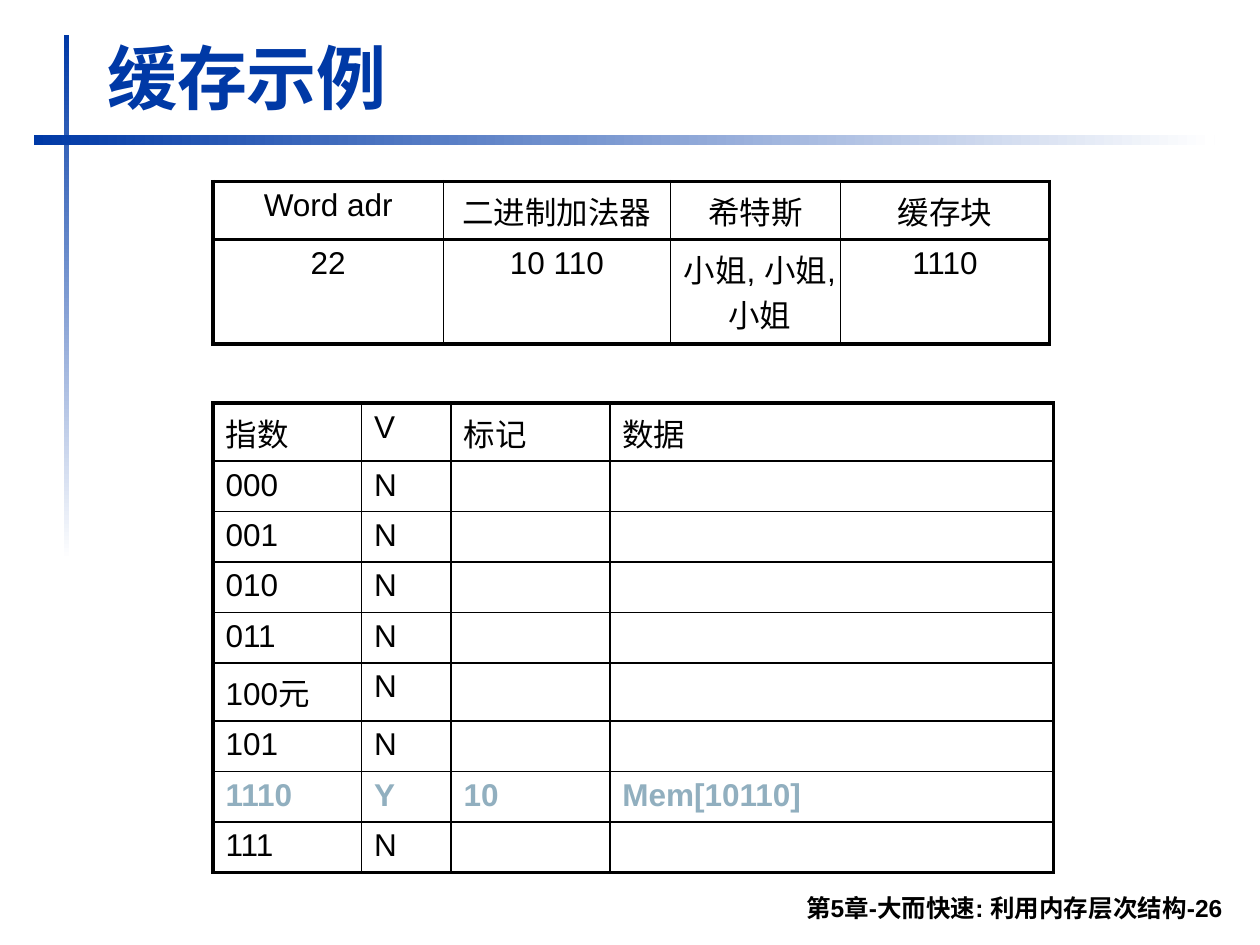
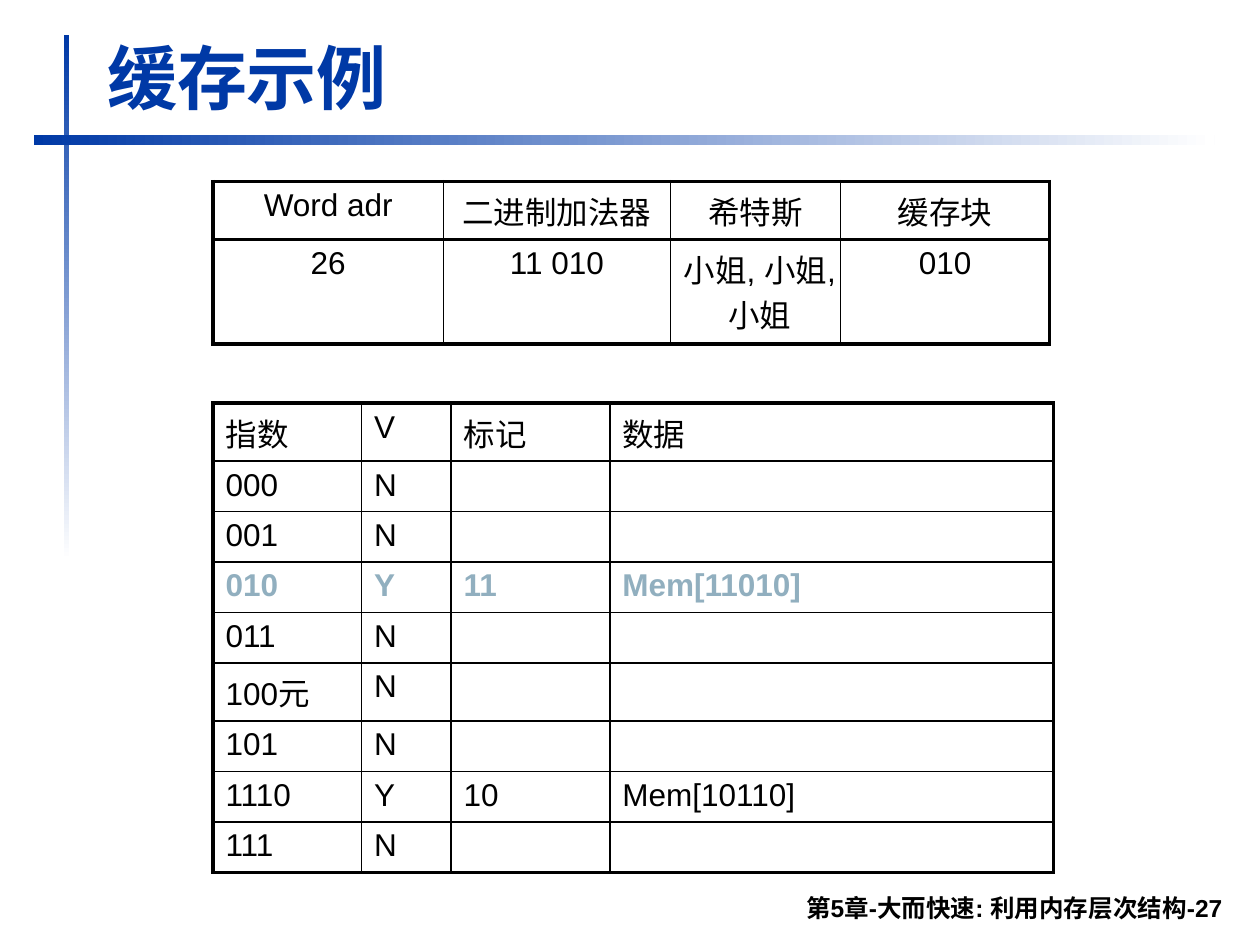
from dataclasses import dataclass
from lxml.etree import SubElement
from pptx import Presentation
from pptx.dml.color import RGBColor
from pptx.enum.shapes import MSO_SHAPE
from pptx.enum.text import MSO_ANCHOR, MSO_AUTO_SIZE, PP_ALIGN
from pptx.oxml.ns import qn
from pptx.util import Inches, Pt


@dataclass(frozen=True)
class Theme:
    """Colours, font, type sizes and line widths of the deck."""
    blue: str = "0039A6"
    black: str = "000000"
    white: str = "FFFFFF"
    accent: str = "91AFBF"
    font: str = "Arial"
    title: int = 40
    cell: int = 18
    footer: int = 14
    outer: float = 2.25
    header: float = 1.5
    inner: float = 1


THEME = Theme()
TITLE = "缓存示例"
FOOTER = "第5章-大而快速: 利用内存层次结构-{}"
LATIN_ROW, CHINESE_ROW, WRAPPED_ROW = 0.4, 0.46, 0.83
ACCESS_HEAD = ["Word adr", "二进制加法器", "希特斯", "缓存块"]
ACCESS_COLS = [1.83, 1.8, 1.35, 1.66]
ACCESS_HEIGHTS = [CHINESE_ROW, WRAPPED_ROW]
MISS = "小姐, 小姐, 小姐"
CACHE_HEAD = ["指数", "V", "标记", "数据"]
CACHE_COLS = [1.18, 0.71, 1.26, 3.52]
INDICES = ["000", "001", "010", "011", "100元", "101", "1110", "111"]
CACHE_HEIGHTS = [LATIN_ROW if label.isascii() else CHINESE_ROW
                 for label in [CACHE_HEAD[0], *INDICES]]
BLOCK_22 = {"1110": ["Y", "10", "Mem[10110]"]}
BLOCK_26 = {"010": ["Y", "11", "Mem[11010]"]}
SLIDES = [
    (26, ["22", "10 110", MISS, "1110"], BLOCK_22),
    (27, ["26", "11 010", MISS, "010"], BLOCK_22 | BLOCK_26),
]


def inches(*lengths):
    """Convert several lengths to inches."""
    return [Inches(n) for n in lengths]


def set_all(obj, **values):
    """Set each named attribute on an object."""
    for name, value in values.items():
        setattr(obj, name, value)


def write(tf, text, size, color=THEME.black, bold=False, align=PP_ALIGN.LEFT):
    """Fill a text frame with one formatted line."""
    p = tf.paragraphs[0]
    p.alignment = align
    r = p.add_run()
    r.text = text
    set_all(r.font, name=THEME.font, size=Pt(size), bold=bold)
    r.font.color.rgb = RGBColor.from_string(color)


def add_band(s, box, angle):
    """Draw a bar that fades from blue to white."""
    sp = s.shapes.add_shape(MSO_SHAPE.RECTANGLE, *inches(*box))
    sp.shadow.inherit = False
    sp.line.fill.background()
    sp.fill.gradient()
    sp.fill.gradient_angle = angle
    for stop, color in zip(sp.fill.gradient_stops, (THEME.blue, THEME.white)):
        stop.color.rgb = RGBColor.from_string(color)


def add_title(s, text):
    """Place and fill the title placeholder."""
    sp = s.shapes.title
    left, top, width, height = inches(0.75, 0.22, 9.03, 0.77)
    set_all(sp, left=left, top=top, width=width, height=height)
    set_all(sp.text_frame, vertical_anchor=MSO_ANCHOR.BOTTOM,
            auto_size=MSO_AUTO_SIZE.SHAPE_TO_FIT_TEXT)
    write(sp.text_frame, text, THEME.title, THEME.blue, True)


def add_footer(s, text):
    """Add the chapter line at the bottom right."""
    tf = s.shapes.add_textbox(*inches(1.85, 6.98, 7.95, 0.39)).text_frame
    set_all(tf, word_wrap=True, vertical_anchor=MSO_ANCHOR.BOTTOM)
    write(tf, text, THEME.footer, bold=True, align=PP_ALIGN.RIGHT)


def set_borders(cell, widths):
    """Draw the left, right, top and bottom cell borders."""
    tc_pr = cell._tc.get_or_add_tcPr()
    for side, width in zip("LRTB", widths):
        ln = SubElement(tc_pr, qn(f"a:ln{side}"), w=str(Pt(width)))
        fill = SubElement(ln, qn("a:solidFill"))
        SubElement(fill, qn("a:srgbClr"), val=THEME.black)


def border_widths(i, j, rows, cols):
    """Return heavy edges, a medium header rule and thin inner lines."""
    def across(edge):
        if edge in (0, rows):
            return THEME.outer
        return THEME.header if edge == 1 else THEME.inner

    def down(edge):
        return THEME.outer if edge in (0, cols) else THEME.inner

    return down(j), down(j + 1), across(i), across(i + 1)


def add_grid(s, top, cols, heights, rows, align=PP_ALIGN.LEFT, marked=None):
    """Add a ruled table and mark the row with the given first cell."""
    box = inches(1.69, top, sum(cols), sum(heights))
    table = s.shapes.add_table(len(rows), len(cols), *box).table
    set_all(table, first_row=False, horz_banding=False)
    for column, width in zip(table.columns, cols):
        column.width = Inches(width)
    for i, (row, height) in enumerate(zip(rows, heights)):
        table.rows[i].height = Inches(height)
        hit = row[0] == marked
        color = THEME.accent if hit else THEME.black
        for j, text in enumerate(row):
            cell = table.cell(i, j)
            set_borders(cell, border_widths(i, j, len(rows), len(cols)))
            cell.fill.background()
            if text:
                write(cell.text_frame, text, THEME.cell, color, hit, align)


def add_cache_slide(prs, number, access, blocks):
    """Build one step of the cache example."""
    s = prs.slides.add_slide(prs.slide_layouts[5])
    add_band(s, (0.51, 0.28, 0.04, 4.17), 270)
    add_band(s, (0.27, 1.07, 9.37, 0.08), 0)
    add_title(s, TITLE)
    add_footer(s, FOOTER.format(number))
    cache = [[index, *blocks.get(index, ["N", "", ""])] for index in INDICES]
    add_grid(s, 3.2, CACHE_COLS, CACHE_HEIGHTS, [CACHE_HEAD, *cache],
             marked=access[-1])
    add_grid(s, 1.44, ACCESS_COLS, ACCESS_HEIGHTS, [ACCESS_HEAD, access],
             PP_ALIGN.CENTER)


def main():
    """Build and save the deck."""
    prs = Presentation()
    set_all(prs, slide_width=Inches(10), slide_height=Inches(7.5))
    for number, access, blocks in SLIDES:
        add_cache_slide(prs, number, access, blocks)
    prs.save("out.pptx")


if __name__ == "__main__":
    main()
